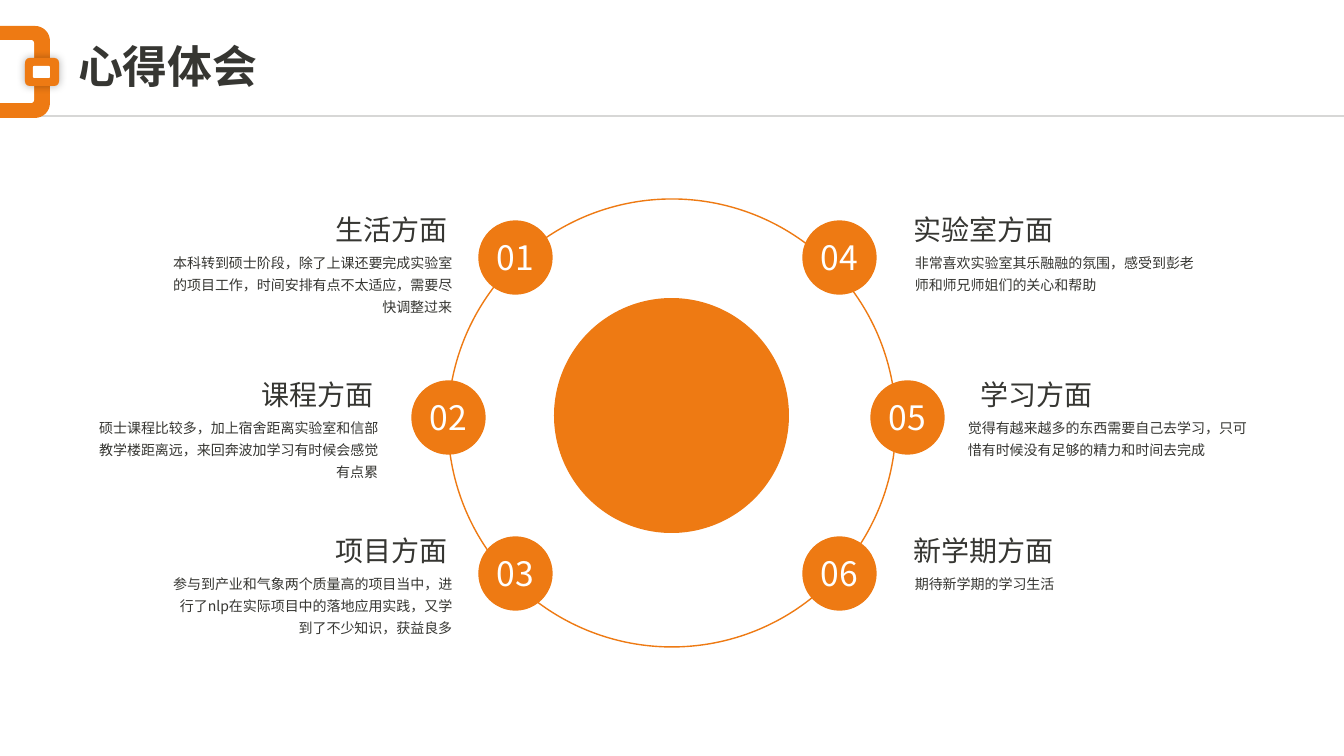
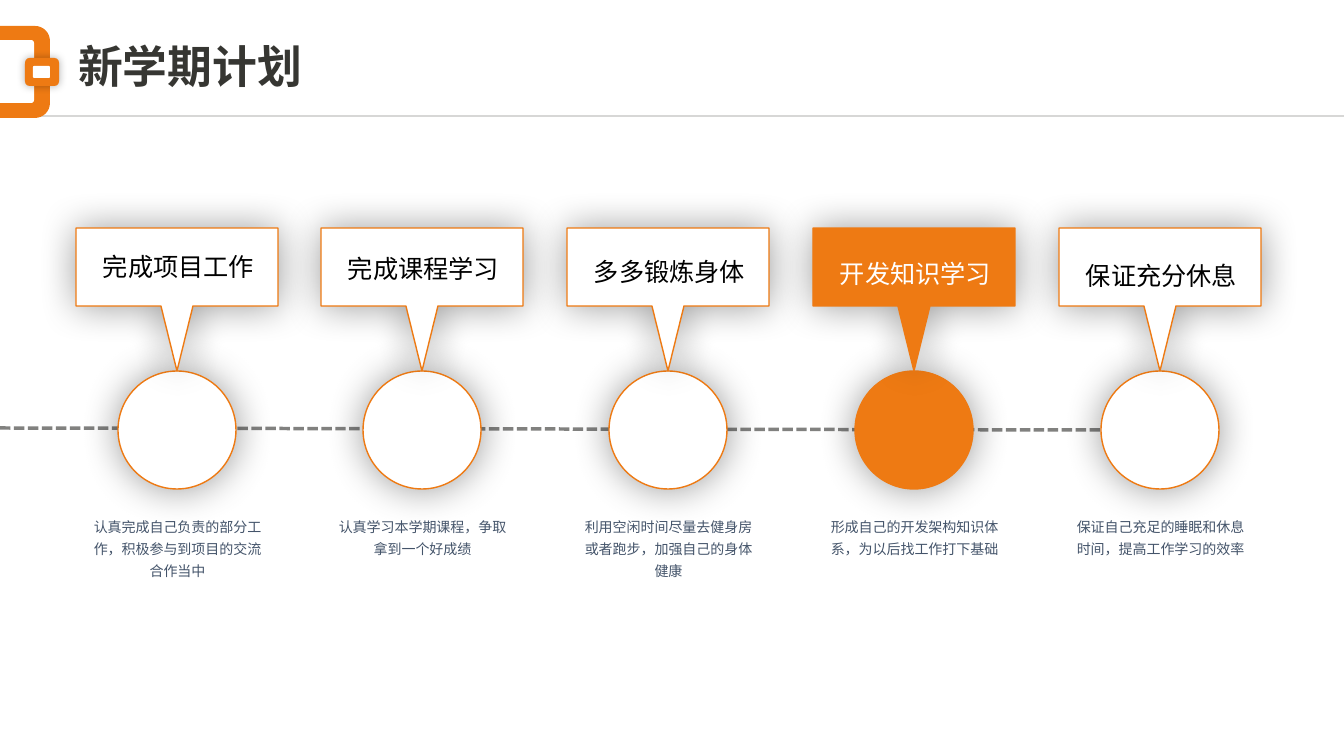
from math import cos, pi, sin

from lxml.etree import SubElement
from pptx import Presentation
from pptx.dml.color import RGBColor
from pptx.enum.dml import MSO_LINE
from pptx.enum.shapes import MSO_CONNECTOR, MSO_SHAPE
from pptx.enum.text import MSO_ANCHOR, MSO_AUTO_SIZE, PP_ALIGN
from pptx.oxml.ns import qn
from pptx.util import Pt

PX = 9071
ORANGE = RGBColor(0xEE, 0x7A, 0x13)
WHITE = RGBColor(0xFF, 0xFF, 0xFF)
BLACK = RGBColor(0, 0, 0)
DARK = RGBColor(0x36, 0x36, 0x32)
COAL = RGBColor(0x29, 0x29, 0x26)
SLATE = RGBColor(0x44, 0x54, 0x6A)
FACE = "Noto Sans CJK SC"

TITLE = {"size": Pt(32), "name": "Arial", "bold": True}
COUNT = {"size": Pt(24), "name": FACE}
HEAD = {"size": Pt(20), "name": FACE}
LABEL = {"size": Pt(18), "name": "Arial"}
BODY = {"size": Pt(10), "name": FACE}


def draw(tree, kind, spot, fill=None, edge=None, glow=None):
    if kind:
        form = tree.add_shape(kind, *[v * PX for v in spot])
    else:
        dots = [(x * PX, y * PX) for x, y in spot]
        pen = tree.build_freeform(*dots[0])
        pen.add_line_segments(dots[1:])
        form = pen.convert_to_shape()
    form.shadow.inherit = False
    if fill is None:
        form.fill.background()
    else:
        form.fill.solid()
        form.fill.fore_color.rgb = fill
    if edge is None:
        form.line.fill.background()
    else:
        form.line.color.rgb = edge
        form.line.width = Pt(1)
    if glow:
        blur, alpha = glow
        list_ = form.element.spPr.find(qn("a:effectLst"))
        cast = SubElement(list_, qn("a:outerShdw"), blurRad=str(Pt(blur)),
                          dist="0", dir="0", algn="ctr", rotWithShape="0")
        tone = SubElement(cast, qn("a:srgbClr"), val=str(BLACK))
        SubElement(tone, qn("a:alpha"), val=str(alpha * 1000))
    return form


def write(form, words, look, tone, **rules):
    frame = form.text_frame
    frame.word_wrap = True
    para = frame.paragraphs[0]
    for key, val in rules.items():
        setattr(para, key, val)
    run = para.add_run()
    run.text = words
    run.font.color.rgb = tone
    for key, val in look.items():
        setattr(run.font, key, val)
    SubElement(run.font._element, qn("a:ea"), typeface=FACE)


deck = Presentation()
deck.slide_width, deck.slide_height = 1344 * PX, 756 * PX
base = deck.slide_layouts[5]
for hold in list(base.placeholders):
    if hold.placeholder_format.idx:
        hold.element.getparent().remove(hold.element)
hold = base.placeholders[0]
hold.left, hold.top, hold.width, hold.height = [v * PX for v in (68, 40, 1200, 65)]

trees = []
for words in ("心得体会", "新学期计划"):
    tree = deck.slides.add_slide(base).shapes
    write(tree.title, words, TITLE, DARK, alignment=PP_ALIGN.LEFT, line_spacing=0.9)
    tree.title.text_frame.auto_size = MSO_AUTO_SIZE.NONE
    tree.title.text_frame.vertical_anchor = MSO_ANCHOR.TOP
    trees.append(tree)
ring, plan = trees

for tree, ends, tone, width, dash, alpha in (
    (ring, (25, 116, 1344, 116), DARK, 1, MSO_LINE.SOLID, 31),
    (plan, (0, 428, 1101, 430), COAL, 2.5, MSO_LINE.SQUARE_DOT, 58),
):
    rule = tree.add_connector(MSO_CONNECTOR.STRAIGHT, *[v * PX for v in ends])
    rule.line.color.rgb = tone
    rule.line.width = Pt(width)
    rule.line.dash_style = dash
    props = rule.element.spPr
    SubElement(props, qn("a:effectLst"))
    SubElement(next(props.iter(qn("a:srgbClr"))), qn("a:alpha"), val=str(alpha * 1000))

for top, right, low, bend, fill in ((26, 50, 118, 15, ORANGE), (40, 34, 103, 3, WHITE)):
    turn = [(bend * sin(pi * n / 16), bend * cos(pi * n / 16)) for n in range(9)]
    dots = [(right - bend + x, top + bend - y) for x, y in turn]
    dots += [(right - bend + x, low - bend + y) for x, y in reversed(turn)]
    draw(ring, None, [(0, top)] + dots + [(0, low)], fill)
draw(ring, MSO_SHAPE.ROUNDED_RECTANGLE, (25, 58, 34, 28), ORANGE, glow=(6, 30))
slot = draw(ring, MSO_SHAPE.ROUNDED_RECTANGLE, (33, 66, 17, 12), WHITE)
slot.adjustments[0] = 0.1
for form in list(ring):
    if not form.is_placeholder:
        base.shapes.element.append(form.element)

draw(ring, MSO_SHAPE.OVAL, (448, 199, 448, 448), edge=ORANGE)
draw(ring, MSO_SHAPE.OVAL, (554, 298, 235, 235), ORANGE)
rows = ((221, 208), (381, 373), (537, 529))
left = (PP_ALIGN.RIGHT, PP_ALIGN.RIGHT, 65)
right = (PP_ALIGN.CENTER, PP_ALIGN.LEFT, -37)
notes = (
    (left, 479, 161, "生活方面",
     "本科转到硕士阶段，除了上课还要完成实验室的项目工作，时间安排有点不太适应，需要尽快调整过来"),
    (left, 412, 87, "课程方面",
     "硕士课程比较多，加上宿舍距离实验室和信部教学楼距离远，来回奔波加学习有时候会感觉有点累"),
    (left, 479, 161, "项目方面",
     "参与到产业和气象两个质量高的项目当中，进行了nlp在实际项目中的落地应用实践，又学到了不少知识，获益良多"),
    (right, 803, 905, "实验室方面",
     "非常喜欢实验室其乐融融的氛围，感受到彭老师和师兄师姐们的关心和帮助"),
    (right, 871, 958, "学习方面",
     "觉得有越来越多的东西需要自己去学习，只可惜有时候没有足够的精力和时间去完成"),
    (right, 803, 905, "新学期方面", "期待新学期的学习生活"),
)
for n, (side, x, edge, head, body) in enumerate(notes):
    top, high = rows[n % 3]
    disc = draw(ring, MSO_SHAPE.OVAL, (x, top, 73, 73), ORANGE, ORANGE)
    for name in ("left", "top", "right", "bottom"):
        setattr(disc.text_frame, "margin_" + name, 0)
    write(disc, f"{n + 1:02}", COUNT, WHITE, alignment=PP_ALIGN.CENTER)
    first, second, shift = side
    for spot, words, look, align, space in (
        ((edge + shift, high, 232, 44), head, HEAD, first, 1.0),
        ((edge, high + 37, 301, 75), body, BODY, second, 1.3),
    ):
        box = ring.add_textbox(*[v * PX for v in spot])
        write(box, words, look, DARK, alignment=align, line_spacing=space)

steps = (
    ("完成项目工作", "认真完成自己负责的部分工作，积极参与到项目的交流合作当中"),
    ("完成课程学习", "认真学习本学期课程，争取拿到一个好成绩"),
    ("多多锻炼身体", "利用空闲时间尽量去健身房或者跑步，加强自己的身体健康"),
    ("开发知识学习", "形成自己的开发架构知识体系，为以后找工作打下基础"),
    ("保证充分休息", "保证自己充足的睡眠和休息时间，提高工作学习的效率"),
)
flag = ((-101, 228), (101, 228), (101, 306), (16, 306), (0, 371), (-16, 306), (-101, 306))
for n, (label, body) in enumerate(steps):
    mid = 177 + 983 * n // 4
    fill, tone = (ORANGE, WHITE) if n == 3 else (WHITE, BLACK)
    draw(plan, MSO_SHAPE.OVAL, (mid - 59, 371, 118, 118), fill, ORANGE, (28, 40))
    draw(plan, None, [(mid + x, y) for x, y in flag], fill, ORANGE, (28, 40))
    for spot, words, look, shade, align, space in (
        ((mid - 84, 246 + round(2.3 * n), 173, 40), label, LABEL, tone, PP_ALIGN.LEFT, 1.0),
        ((mid - 94, 509, 189, 75), body, BODY, SLATE, PP_ALIGN.CENTER, 1.3),
    ):
        box = plan.add_textbox(*[v * PX for v in spot])
        write(box, words, look, shade, alignment=align, line_spacing=space)

deck.save("out.pptx")
